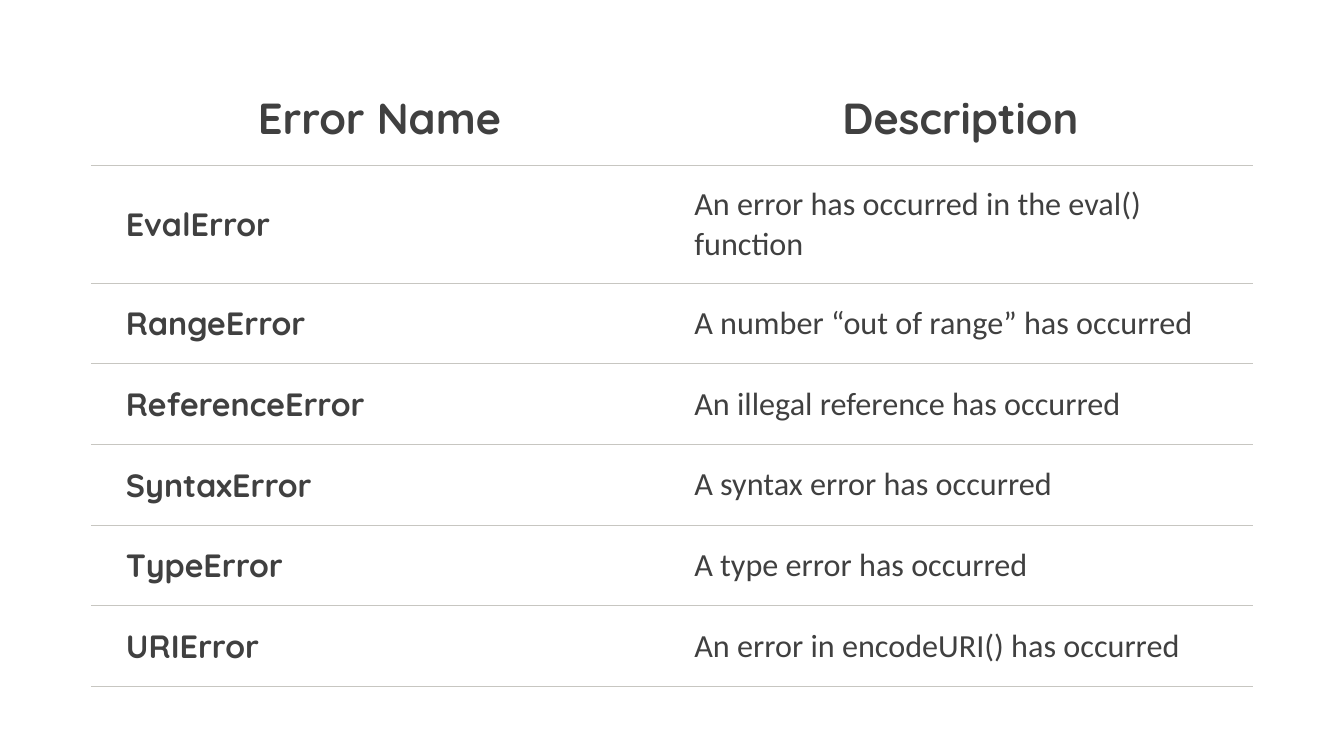
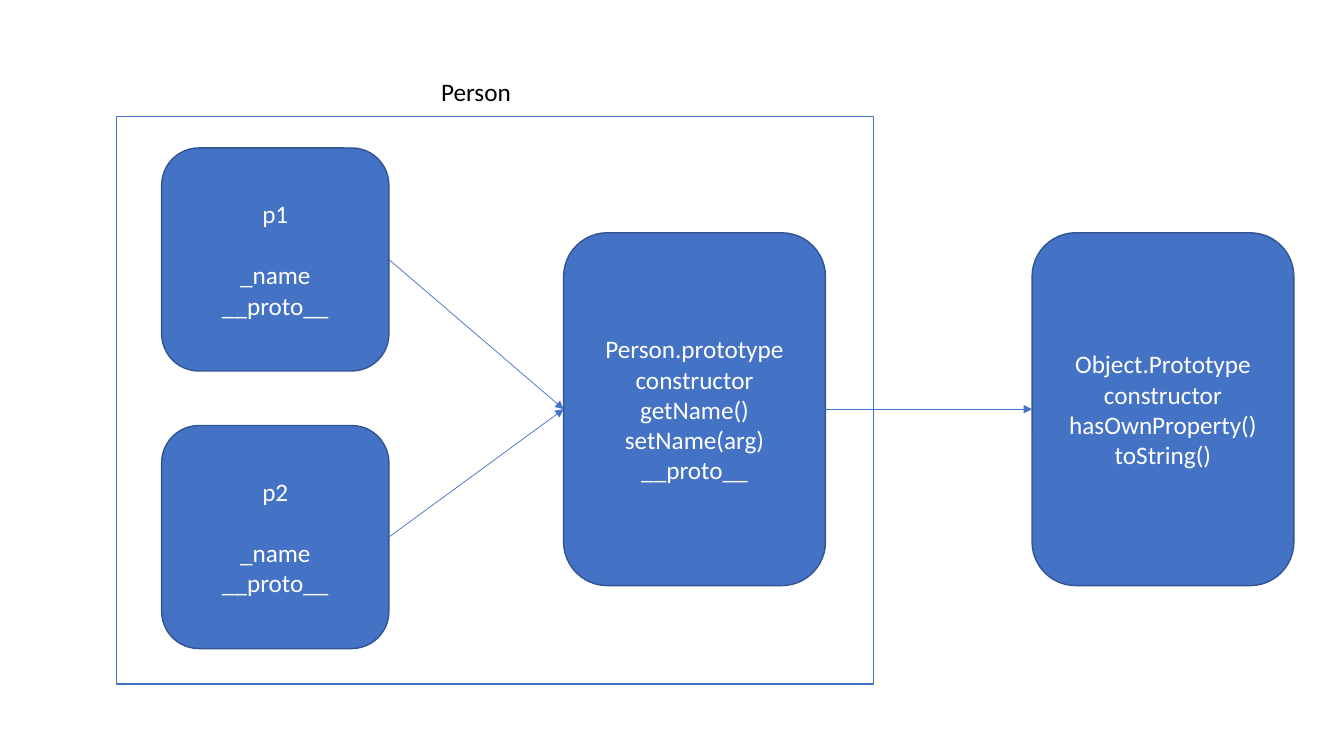
from dataclasses import dataclass

from lxml import etree
from pptx import Presentation
from pptx.dml.color import RGBColor
from pptx.enum import shapes, text
from pptx.oxml import ns
from pptx.util import Pt


@dataclass(frozen=True)
class Theme:
    ink: RGBColor = RGBColor(0x40, 0x40, 0x40)
    black: RGBColor = RGBColor(0, 0, 0)
    white: RGBColor = RGBColor(255, 255, 255)
    accent: RGBColor = RGBColor(0x44, 0x72, 0xC4)
    outline: RGBColor = RGBColor(0x32, 0x54, 0x91)
    rule: str = "C7C6C1"
    heading_font: str = "Quicksand"
    body_font: str = "Calibri"
    header_size: int = 31
    table_size: int = 23
    diagram_size: int = 18


@dataclass(frozen=True)
class Box:
    left: float
    top: float
    width: float
    height: float

    def lengths(self) -> tuple:
        return Pt(self.left), Pt(self.top), Pt(self.width), Pt(self.height)


@dataclass(frozen=True)
class Node:
    box: Box
    lines: tuple
    gap_after_name: float = 0


THEME = Theme()
CENTER = text.PP_ALIGN.CENTER
LEFT = text.PP_ALIGN.LEFT
PLAIN_TABLE_STYLE = "{2D5ABB26-0587-4C30-8999-92F81FD0307C}"

HEADERS = ("Error Name", "Description")
ERRORS = (
    ("EvalError", "An error has occurred in the eval() function"),
    ("RangeError", "A number “out of range” has occurred"),
    ("ReferenceError", "An illegal reference has occurred"),
    ("SyntaxError", "A syntax error has occurred"),
    ("TypeError", "A type error has occurred"),
    ("URIError", "An error in encodeURI() has occurred"),
)
TABLE_BOX = Box(65, 50.4, 830, 440)
COLUMN_WIDTHS = (406, 424)
ROW_HEIGHTS = (67.7, 84.3) + (57.6,) * 5
CELL_FORMAT = dict(
    margin_left=Pt(25), margin_top=Pt(12), margin_right=Pt(19),
    margin_bottom=Pt(12), vertical_anchor=text.MSO_ANCHOR.MIDDLE,
)

PERSON_FRAME = Box(83, 83, 541, 405.5)
PERSON_LABEL = Box(307.5, 51, 65, 29)
INSTANCES = tuple(
    Node(Box(115.5, top, 162.3, 159.3), (name, "_name", "__proto__"), 22)
    for name, top in (("p1", 105.7), ("p2", 304))
)
PROTOTYPES = tuple(
    Node(Box(left, 166.3, 187, 252), lines)
    for left, lines in (
        (402.6, ("Person.prototype", "constructor", "getName()",
                 "setName(arg)", "__proto__")),
        (737.2, ("Object.Prototype", "constructor", "hasOwnProperty()",
                 "toString()")),
    )
)


def apply_format(target, values: dict) -> None:
    for name, value in values.items():
        setattr(target, name, value)


def write_lines(frame, lines: tuple, alignment, font: dict) -> None:
    """Write one paragraph per line; the colour goes in font["color"]."""
    settings = {key: value for key, value in font.items() if key != "color"}
    for index, line in enumerate(lines):
        paragraph = frame.add_paragraph() if index else frame.paragraphs[0]
        paragraph.alignment = alignment
        run = paragraph.add_run()
        run.text = line
        apply_format(run.font, settings)
        run.font.color.rgb = font["color"]


def add_bottom_rule(cell) -> None:
    properties = cell._tc.get_or_add_tcPr()
    border = etree.Element(ns.qn("a:lnB"), w=str(Pt(0.75)))
    fill = etree.SubElement(border, ns.qn("a:solidFill"))
    etree.SubElement(fill, ns.qn("a:srgbClr"), val=THEME.rule)
    properties.insert(0, border)


def add_error_table(slide) -> None:
    rows = (HEADERS,) + ERRORS
    frame = slide.shapes.add_table(len(rows), len(HEADERS), *TABLE_BOX.lengths())
    table = frame.table
    apply_format(table, dict(first_row=False, horz_banding=False))
    for style in table._tbl.iter(ns.qn("a:tableStyleId")):
        style.text = PLAIN_TABLE_STYLE
    for column, width in zip(table.columns, COLUMN_WIDTHS):
        column.width = Pt(width)
    for row_index, values in enumerate(rows):
        table.rows[row_index].height = Pt(ROW_HEIGHTS[row_index])
        is_header = row_index == 0
        for column_index, value in enumerate(values):
            is_heading = is_header or column_index == 0
            cell = table.cell(row_index, column_index)
            apply_format(cell, CELL_FORMAT)
            cell.fill.background()
            add_bottom_rule(cell)
            write_lines(cell.text_frame, (value,), CENTER if is_header else LEFT, dict(
                name=THEME.heading_font if is_heading else THEME.body_font,
                size=Pt(THEME.header_size if is_header else THEME.table_size),
                bold=is_heading, color=THEME.ink,
            ))


def diagram_font(color: RGBColor) -> dict:
    return dict(name=THEME.body_font, size=Pt(THEME.diagram_size), color=color)


def add_panel(slide, kind, box: Box, fill: RGBColor, line: RGBColor):
    shape = slide.shapes.add_shape(kind, *box.lengths())
    shape.shadow.inherit = False
    shape.fill.solid()
    shape.fill.fore_color.rgb = fill
    shape.line.color.rgb = line
    shape.line.width = Pt(1)
    return shape


def add_node(slide, node: Node):
    shape = add_panel(slide, shapes.MSO_SHAPE.ROUNDED_RECTANGLE, node.box,
                      THEME.accent, THEME.outline)
    frame = shape.text_frame
    apply_format(frame, dict(word_wrap=True, vertical_anchor=text.MSO_ANCHOR.MIDDLE))
    write_lines(frame, node.lines, CENTER, diagram_font(THEME.white))
    frame.paragraphs[0].space_after = Pt(node.gap_after_name)
    return shape


def add_arrow(slide, source, target) -> None:
    """Point from the right side of source to the left side of target."""
    connector = slide.shapes.add_connector(shapes.MSO_CONNECTOR.STRAIGHT, 0, 0, 0, 0)
    connector.begin_connect(source, 3)
    connector.end_connect(target, 1)
    connector.line.color.rgb = THEME.accent
    connector.line.width = Pt(0.5)
    etree.SubElement(connector.line._get_or_add_ln(), ns.qn("a:tailEnd"), type="triangle")
    etree.SubElement(connector._element.spPr, ns.qn("a:effectLst"))


def add_prototype_diagram(slide) -> None:
    add_panel(slide, shapes.MSO_SHAPE.RECTANGLE, PERSON_FRAME, THEME.white, THEME.accent)
    label = slide.shapes.add_textbox(*PERSON_LABEL.lengths())
    label.text_frame.word_wrap = False
    write_lines(label.text_frame, ("Person",), CENTER, diagram_font(THEME.black))
    instances = [add_node(slide, node) for node in INSTANCES]
    person, base = [add_node(slide, node) for node in PROTOTYPES]
    for instance in instances:
        add_arrow(slide, instance, person)
    add_arrow(slide, person, base)


def main() -> None:
    presentation = Presentation()
    apply_format(presentation, dict(slide_width=Pt(960), slide_height=Pt(540)))
    blank = presentation.slide_layouts[6]
    for draw in (add_error_table, add_prototype_diagram):
        draw(presentation.slides.add_slide(blank))
    presentation.save("out.pptx")


if __name__ == "__main__":
    main()
